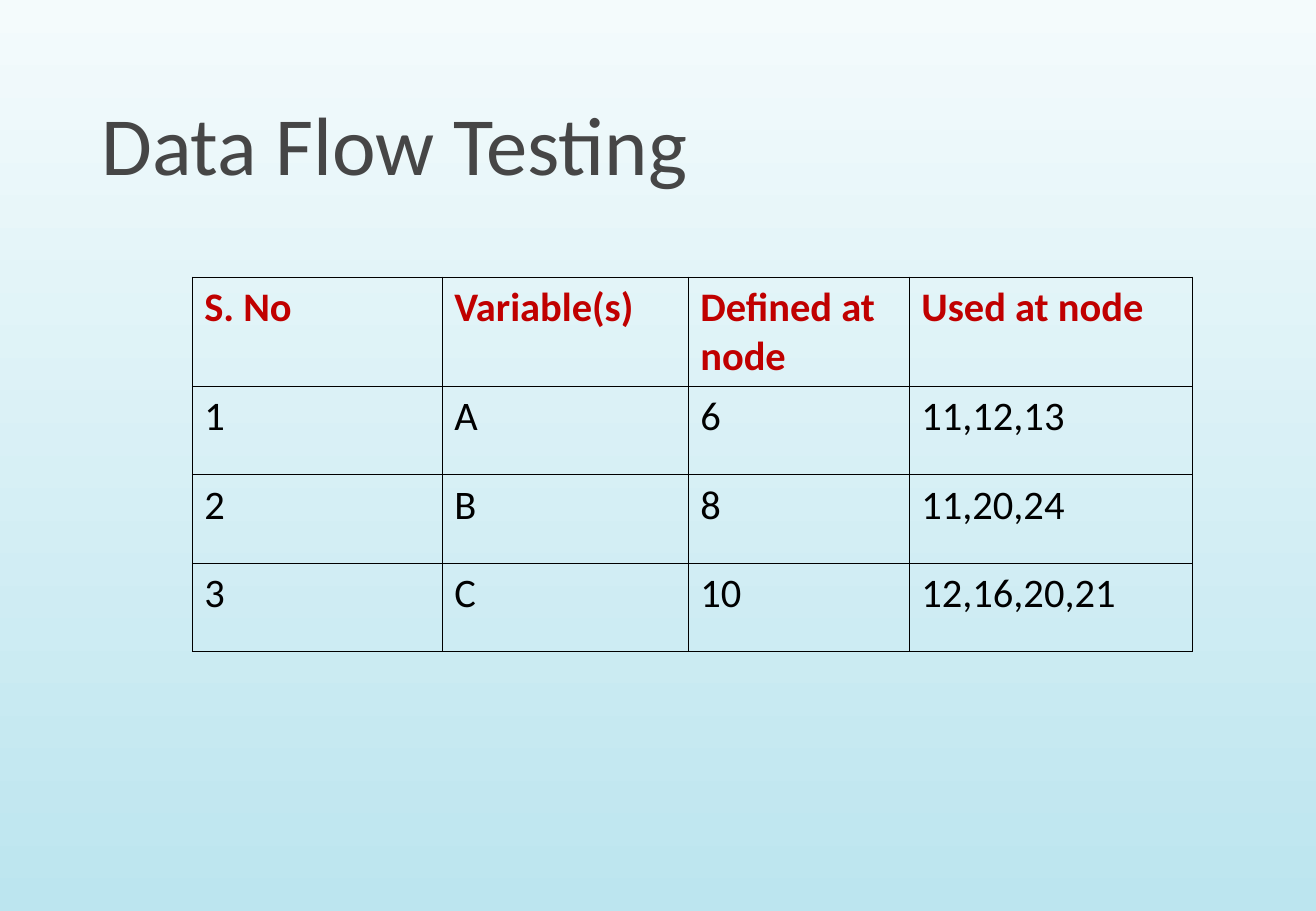
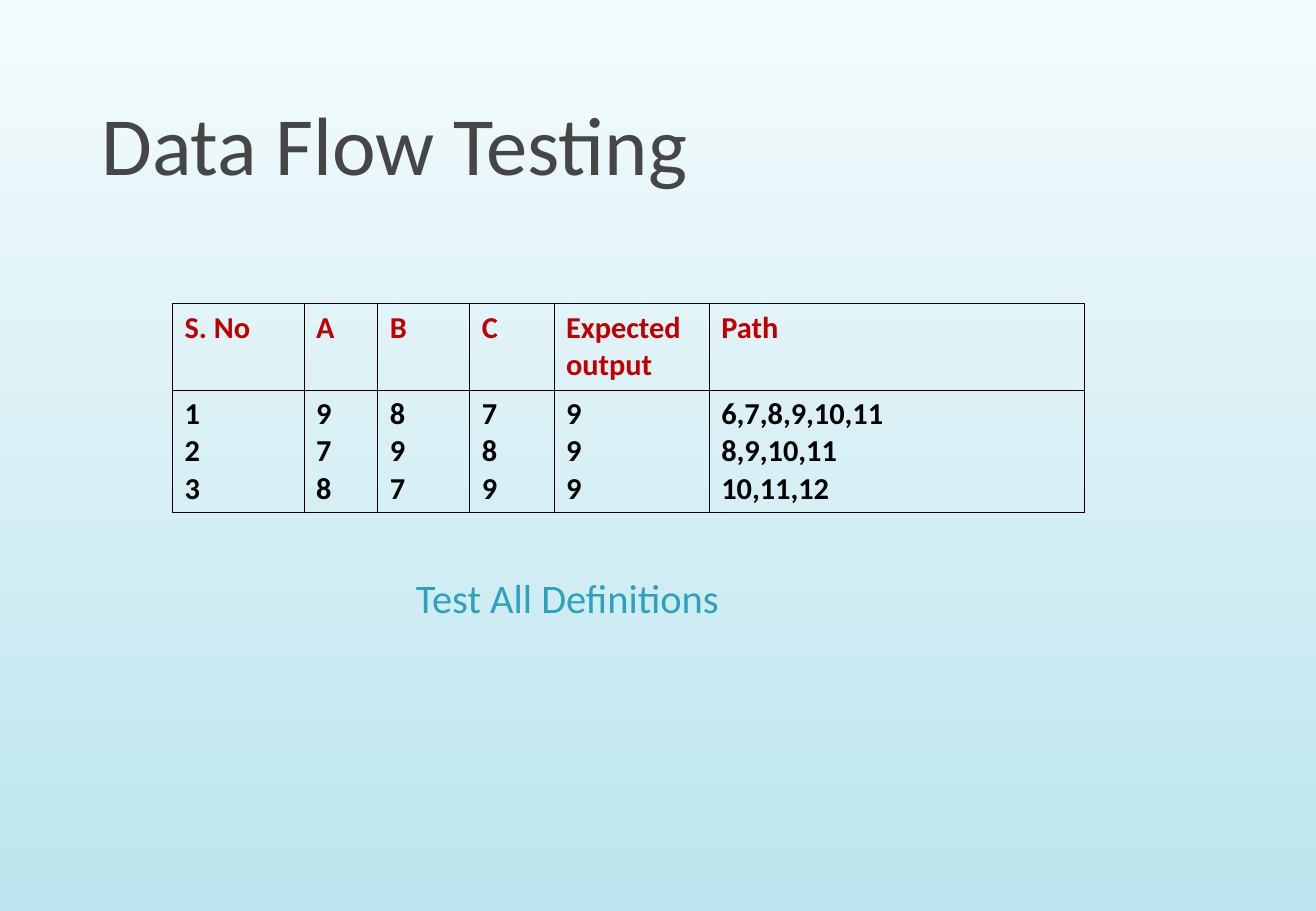
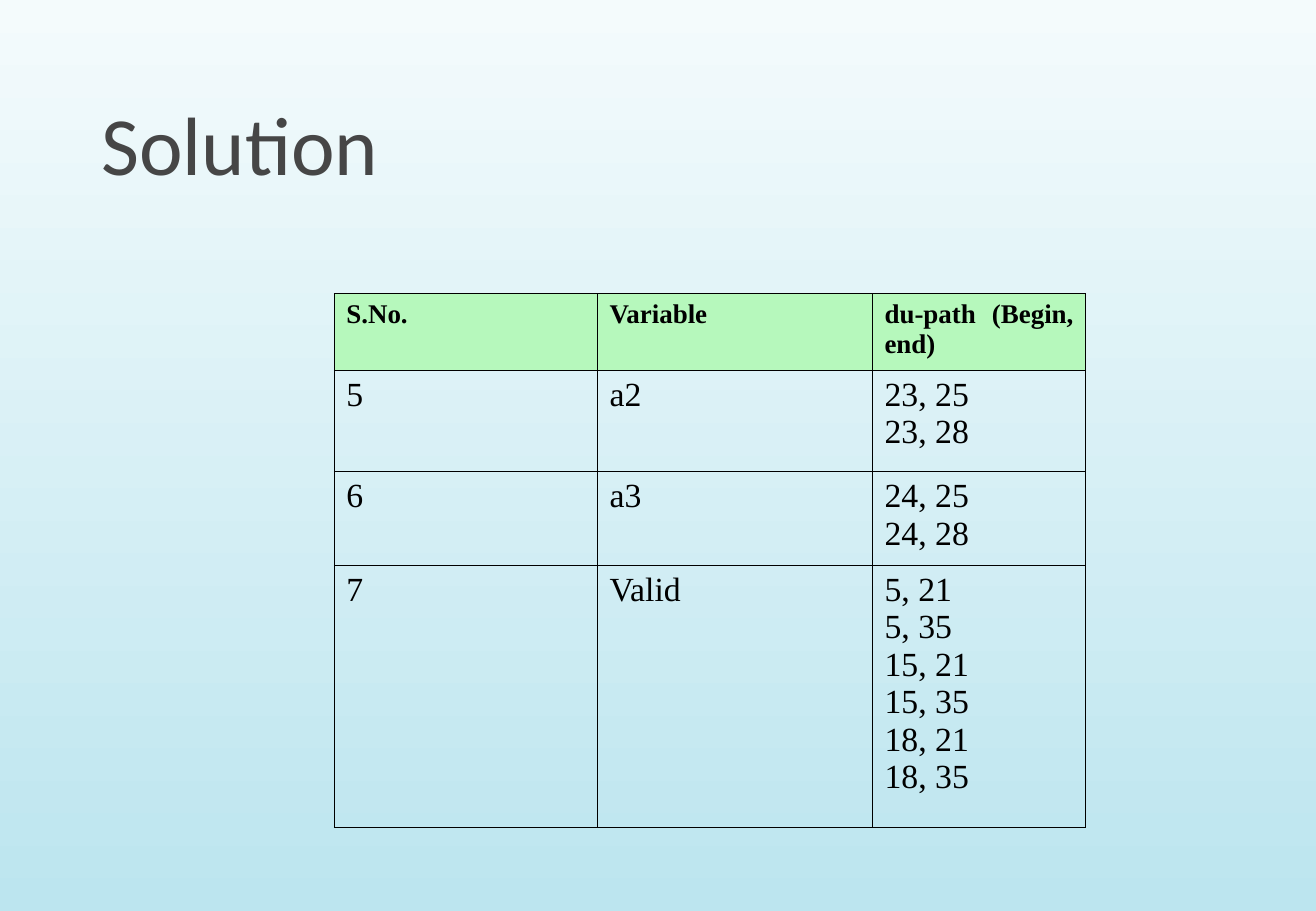
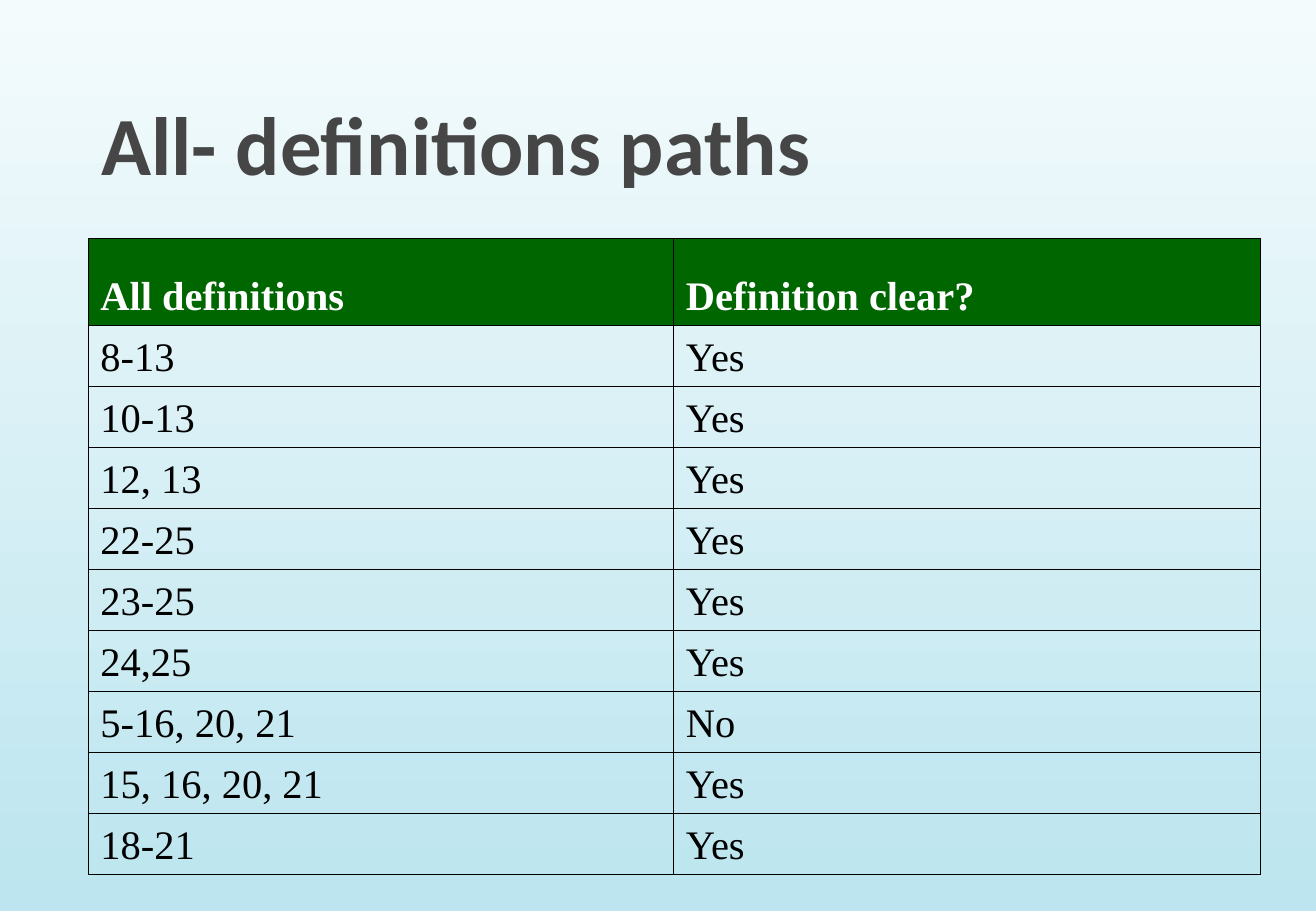
from dataclasses import dataclass

from lxml import etree
from pptx import Presentation
from pptx import util as u
from pptx.dml.color import RGBColor
from pptx.enum import text as t
from pptx.oxml import ns

SLIDE_WIDTH = u.Inches(10.84)
SLIDE_HEIGHT = u.Inches(7.5)
GRID = 100  # columns across the slide, rows down the slide

SANS = "Calibri"
SERIF = "Times New Roman"
BLACK = "000000"
WHITE = "FFFFFF"
RED = "C00000"
TITLE_GREY = "464646"
TEAL = "2DA2BF"
PALE_GREEN = "B6F8BC"
DARK_GREEN = "006600"
BACKGROUND = ("F4FBFC", "BCE5EF")

BORDER_WIDTH = u.Pt(0.45)
BORDER_SIDES = ("lnL", "lnR", "lnT", "lnB")


@dataclass(frozen=True)
class TextStyle:
    size: float
    font: str
    color: str = BLACK
    bold: bool = False
    align: t.PP_ALIGN = t.PP_ALIGN.LEFT


@dataclass(frozen=True)
class Box:
    left: float
    top: float
    width: float
    height: float


@dataclass(frozen=True)
class TableDesign:
    """Position, columns and rows are counted in grid steps."""
    left: float
    top: float
    columns: list[float]
    rows: list[float]
    header: TextStyle
    body: TextStyle
    header_fill: str | None = None
    anchor: t.MSO_ANCHOR = t.MSO_ANCHOR.TOP


@dataclass(frozen=True)
class TableSlide:
    title: str
    design: TableDesign
    cells: list[list[str]]
    bold_title: bool = False
    note: str = ""


TITLE_BOX = Box(6.6, 2.3, 89.1, 19.6)
NOTE_BOX = Box(30.7, 62.2, 30.7, 6.7)
NOTE_STYLE = TextStyle(24, SANS, TEAL)

SLIDES = [
    TableSlide(
        "Data Flow Testing",
        TableDesign(14.6, 30.4, [19, 18.7, 16.8, 21.5], [12] + [9.7] * 3,
                    TextStyle(24, SANS, RED, True), TextStyle(24, SANS)),
        [["S. No", "Variable(s)", "Defined at node", "Used at node"],
         ["1", "A", "6", "11,12,13"],
         ["2", "B", "8", "11,20,24"],
         ["3", "C", "10", "12,16,20,21"]],
    ),
    TableSlide(
        "Data Flow Testing",
        TableDesign(13.1, 33.3, [10, 5.6, 7, 6.4, 11.8, 28.5], [9.5, 13.4],
                    TextStyle(18, SANS, RED, True),
                    TextStyle(18, SANS, bold=True)),
        [["S. No", "A", "B", "C", "Expected output", "Path"],
         ["1\n2\n3", "9\n7\n8", "8\n9\n7", "7\n8\n9", "9\n9\n9",
          "6,7,8,9,10,11\n8,9,10,11\n10,11,12"]],
        note="Test All Definitions",
    ),
    TableSlide(
        "Solution",
        TableDesign(25.4, 32.2, [20, 20.9, 16.2], [8.4, 11.1, 10.3, 28.8],
                    TextStyle(16, SERIF, bold=True, align=t.PP_ALIGN.JUSTIFY),
                    TextStyle(20, SERIF, align=t.PP_ALIGN.JUSTIFY),
                    PALE_GREEN),
        [["S.No.", "Variable", "du-path (Begin, end)"],
         ["5", "a2", "23, 25\n23, 28"],
         ["6", "a3", "24, 25\n24, 28"],
         ["7", "Valid", "5, 21\n5, 35\n15, 21\n15, 35\n18, 21\n18, 35"]],
    ),
    TableSlide(
        "All- definitions paths",
        TableDesign(6.7, 26.2, [44.5, 44.6], [9.5] + [6.7] * 9,
                    TextStyle(24, SERIF, WHITE, True), TextStyle(24, SERIF),
                    DARK_GREEN, t.MSO_ANCHOR.BOTTOM),
        [["All definitions", "Definition clear?"],
         ["8-13", "Yes"],
         ["10-13", "Yes"],
         ["12, 13", "Yes"],
         ["22-25", "Yes"],
         ["23-25", "Yes"],
         ["24,25", "Yes"],
         ["5-16, 20, 21", "No"],
         ["15, 16, 20, 21", "Yes"],
         ["18-21", "Yes"]],
        bold_title=True,
    ),
]


def across(columns: float) -> u.Emu:
    return u.Emu(round(SLIDE_WIDTH * columns / GRID))


def down(rows: float) -> u.Emu:
    return u.Emu(round(SLIDE_HEIGHT * rows / GRID))


def rgb(color: str) -> RGBColor:
    return RGBColor.from_string(color)


def write(frame, content: str, style: TextStyle) -> None:
    """Write each line of the content as a paragraph."""
    for index, line in enumerate(content.split("\n")):
        paragraph = frame.add_paragraph() if index else frame.paragraphs[0]
        paragraph.alignment = style.align
        run = paragraph.add_run()
        run.text = line
        run.font.size = u.Pt(style.size)
        run.font.name = style.font
        run.font.bold = style.bold
        run.font.color.rgb = rgb(style.color)


def add_text(slide, box: Box, content: str, style: TextStyle):
    shape = slide.shapes.add_textbox(across(box.left), down(box.top),
                                     across(box.width), down(box.height))
    shape.text_frame.word_wrap = True
    write(shape.text_frame, content, style)
    return shape.text_frame


def add_title(slide, title: str, bold: bool) -> None:
    frame = add_text(slide, TITLE_BOX, title,
                     TextStyle(49, SANS, TITLE_GREY, bold))
    frame.vertical_anchor = t.MSO_ANCHOR.BOTTOM
    frame.margin_left = frame.margin_right = u.Inches(0.12)
    frame.margin_top = frame.margin_bottom = u.Inches(0.06)


def draw_borders(cell) -> None:
    properties = cell._tc.get_or_add_tcPr()
    for side in BORDER_SIDES:
        line = etree.SubElement(properties, ns.qn(f"a:{side}"),
                                w=str(BORDER_WIDTH))
        fill = etree.SubElement(line, ns.qn("a:solidFill"))
        etree.SubElement(fill, ns.qn("a:srgbClr"), val=BLACK)


def add_table(slide, design: TableDesign, cells: list[list[str]]) -> None:
    table = slide.shapes.add_table(
        len(design.rows), len(design.columns),
        across(design.left), down(design.top),
        across(sum(design.columns)), down(sum(design.rows))).table
    table.first_row = table.horz_banding = False
    for column, width in zip(table.columns, design.columns):
        column.width = across(width)
    for row, height in zip(table.rows, design.rows):
        row.height = down(height)
    for row_index, row_texts in enumerate(cells):
        is_header = row_index == 0
        for column_index, content in enumerate(row_texts):
            cell = table.cell(row_index, column_index)
            cell.vertical_anchor = design.anchor
            draw_borders(cell)
            if is_header and design.header_fill:
                cell.fill.solid()
                cell.fill.fore_color.rgb = rgb(design.header_fill)
            else:
                cell.fill.background()
            write(cell.text_frame, content,
                  design.header if is_header else design.body)


def paint_background(master) -> None:
    fill = master.background.fill
    fill.gradient()
    fill.gradient_angle = 270
    for stop, color in zip(fill.gradient_stops, BACKGROUND):
        stop.color.rgb = rgb(color)


def main() -> None:
    presentation = Presentation()
    presentation.slide_width = SLIDE_WIDTH
    presentation.slide_height = SLIDE_HEIGHT
    paint_background(presentation.slide_master)
    blank = presentation.slide_layouts[6]
    for content in SLIDES:
        slide = presentation.slides.add_slide(blank)
        add_title(slide, content.title, content.bold_title)
        add_table(slide, content.design, content.cells)
        if content.note:
            add_text(slide, NOTE_BOX, content.note, NOTE_STYLE)
    presentation.save("out.pptx")


if __name__ == "__main__":
    main()
